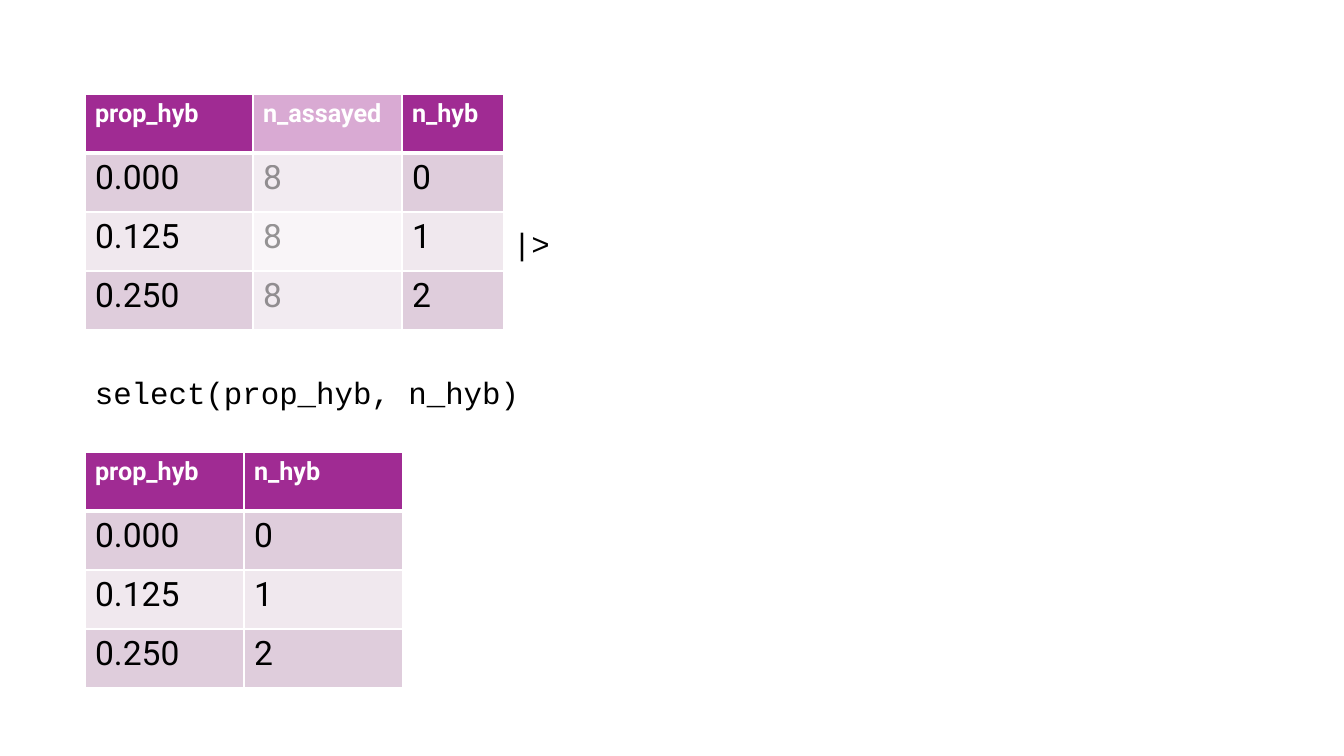
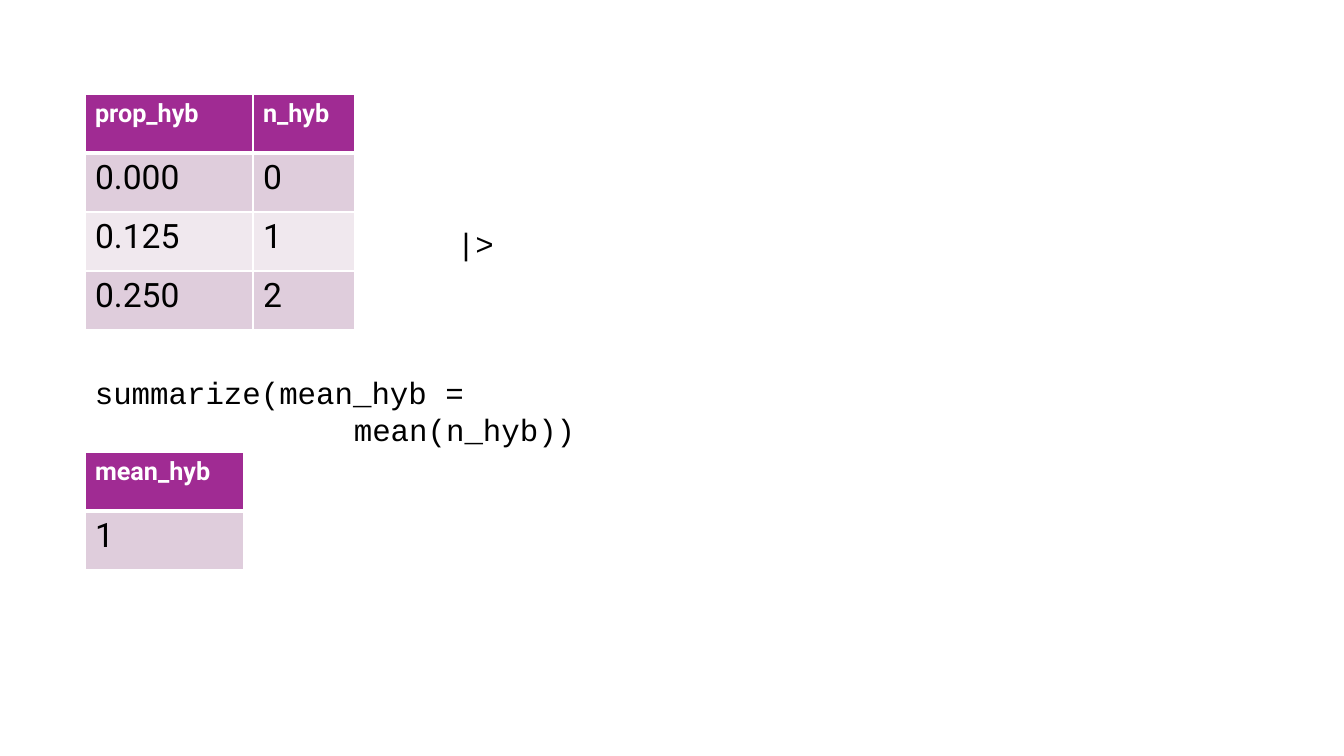
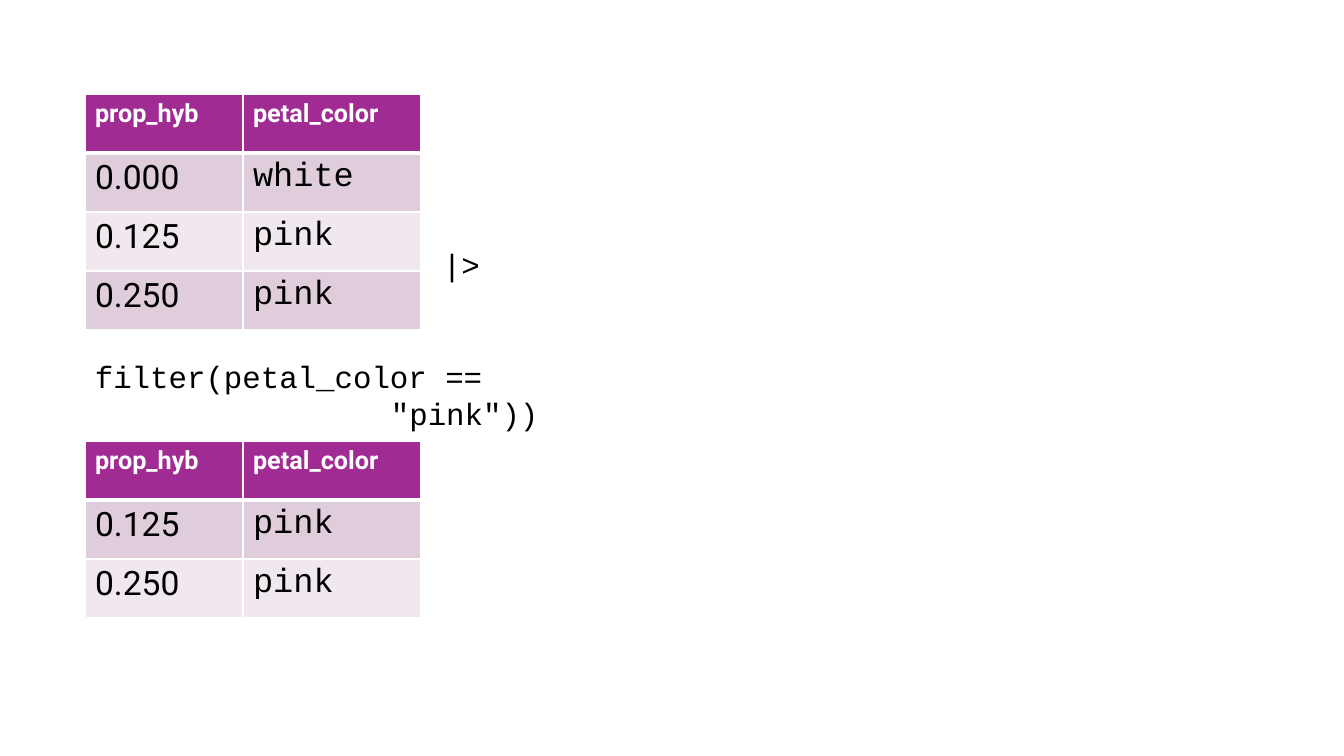
from dataclasses import dataclass

from lxml import etree
from pptx import Presentation
from pptx.dml.color import RGBColor
from pptx.oxml.ns import qn
from pptx.util import Emu, Pt

PX = 914400 / 100.8
BLANK_LAYOUT = 6


@dataclass(frozen=True)
class Theme:
    header: str = "A02B93"
    bands: tuple = ("DFCDDC", "F0E8EE")
    rule: str = "FFFFFF"
    header_text: str = "FFFFFF"
    text: str = "000000"
    faded_percent: int = 40
    table_font: str = "Roboto"
    code_font: str = "Courier New"
    header_size: int = 18
    body_size: int = 24
    code_size: int = 22
    code_leading: float = 26.64
    thin_rule: int = 1
    header_rule: int = 3


@dataclass(frozen=True)
class Column:
    name: str
    width: int
    values: tuple
    font: str = Theme.table_font
    faded: bool = False


THEME = Theme()
LEFT = 85
INPUT_TOP = 94
ROW_HEIGHT = 59
CODE_WIDTH = 507
PIPE_WIDTH = 65
LINE_HEIGHT = 42
PROPORTIONS = ("0.000", "0.125", "0.250")
HYBRIDS = ("0", "1", "2")
PETALS = ("white", "pink", "pink")


def px(length):
    return Emu(round(length * PX))


def fade(properties):
    color = properties.find(f"{qn('a:solidFill')}/{qn('a:srgbClr')}")
    etree.SubElement(color, qn("a:alpha"), val=str(THEME.faded_percent * 1000))


def add_run(paragraph, text, font, size, color, bold=False):
    run = paragraph.add_run()
    run.text = text
    run.font.name = font
    run.font.size = Pt(size)
    run.font.bold = bold
    run.font.fill.solid()
    run.font.fill.fore_color.rgb = RGBColor.from_string(color)
    return run


def add_borders(cell, top, bottom):
    properties = cell._tc.get_or_add_tcPr()
    thin = THEME.thin_rule
    for side, width in (("L", thin), ("R", thin), ("T", top), ("B", bottom)):
        line = etree.SubElement(properties, qn(f"a:ln{side}"), w=str(Pt(width)))
        fill = etree.SubElement(line, qn("a:solidFill"))
        etree.SubElement(fill, qn("a:srgbClr"), val=THEME.rule)


def fill_cell(cell, column, row):
    is_header = row == 0
    add_borders(
        cell,
        THEME.header_rule if row == 1 else THEME.thin_rule,
        THEME.header_rule if is_header else THEME.thin_rule,
    )
    background = THEME.header if is_header else THEME.bands[(row - 1) % 2]
    cell.fill.solid()
    cell.fill.fore_color.rgb = RGBColor.from_string(background)
    paragraph = cell.text_frame.paragraphs[0]
    if is_header:
        add_run(paragraph, column.name, THEME.table_font, THEME.header_size,
                THEME.header_text, bold=True)
    else:
        value = add_run(paragraph, column.values[row - 1], column.font,
                        THEME.body_size, THEME.text)
        if column.faded:
            fade(value._r.rPr)
    if column.faded:
        fade(cell._tc.tcPr)


def add_data_table(slide, left, top, columns):
    row_count = len(columns[0].values) + 1
    width = sum(column.width for column in columns)
    frame = slide.shapes.add_table(
        row_count, len(columns),
        px(left), px(top), px(width), px(row_count * ROW_HEIGHT),
    )
    table = frame.table
    table.first_row = False
    table.horz_banding = False
    for row in table.rows:
        row.height = px(ROW_HEIGHT)
    for index, column in enumerate(columns):
        table.columns[index].width = px(column.width)
        for row in range(row_count):
            fill_cell(table.cell(row, index), column, row)


def add_code(slide, left, top, width, lines):
    box = slide.shapes.add_textbox(
        px(left), px(top), px(width), px(LINE_HEIGHT * len(lines)))
    frame = box.text_frame
    frame.word_wrap = True
    for index, (text, indent) in enumerate(lines):
        paragraph = frame.paragraphs[0] if index == 0 else frame.add_paragraph()
        paragraph.line_spacing = Pt(THEME.code_leading)
        if indent:
            paragraph._p.get_or_add_pPr().set("marL", str(px(indent)))
        add_run(paragraph, text, THEME.code_font, THEME.code_size, THEME.text)


def add_step_slide(deck, before, pipe_at, code_top, code, after_top, after):
    slide = deck.slides.add_slide(deck.slide_layouts[BLANK_LAYOUT])
    add_data_table(slide, LEFT, INPUT_TOP, before)
    add_code(slide, *pipe_at, PIPE_WIDTH, [("|>", 0)])
    add_code(slide, LEFT, code_top, CODE_WIDTH, code)
    add_data_table(slide, LEFT, after_top, after)


def main():
    deck = Presentation()
    deck.slide_width = px(1344)
    deck.slide_height = px(756)

    proportion = Column("prop_hyb", 168, PROPORTIONS)
    hybrids = Column("n_hyb", 102, HYBRIDS)
    assayed = Column("n_assayed", 149, ("8", "8", "8"), faded=True)

    add_step_slide(
        deck,
        before=[proportion, assayed, hybrids],
        pipe_at=(503, 219),
        code_top=368,
        code=[("select(prop_hyb, n_hyb)", 0)],
        after_top=452,
        after=[Column("prop_hyb", 159, PROPORTIONS),
               Column("n_hyb", 159, HYBRIDS)],
    )
    add_step_slide(
        deck,
        before=[proportion, hybrids],
        pipe_at=(447, 219),
        code_top=368,
        code=[("summarize(mean_hyb =", 0), ("mean(n_hyb))", 259)],
        after_top=452,
        after=[Column("mean_hyb", 159, ("1",))],
    )
    add_step_slide(
        deck,
        before=[Column("prop_hyb", 158, PROPORTIONS),
                Column("petal_color", 178, PETALS, THEME.code_font)],
        pipe_at=(433, 240),
        code_top=352,
        code=[("filter(petal_color ==", 0), ("\"pink\"))", 296)],
        after_top=441,
        after=[Column("prop_hyb", 158, PROPORTIONS[1:]),
               Column("petal_color", 178, PETALS[1:], THEME.code_font)],
    )
    deck.save("out.pptx")


if __name__ == "__main__":
    main()
